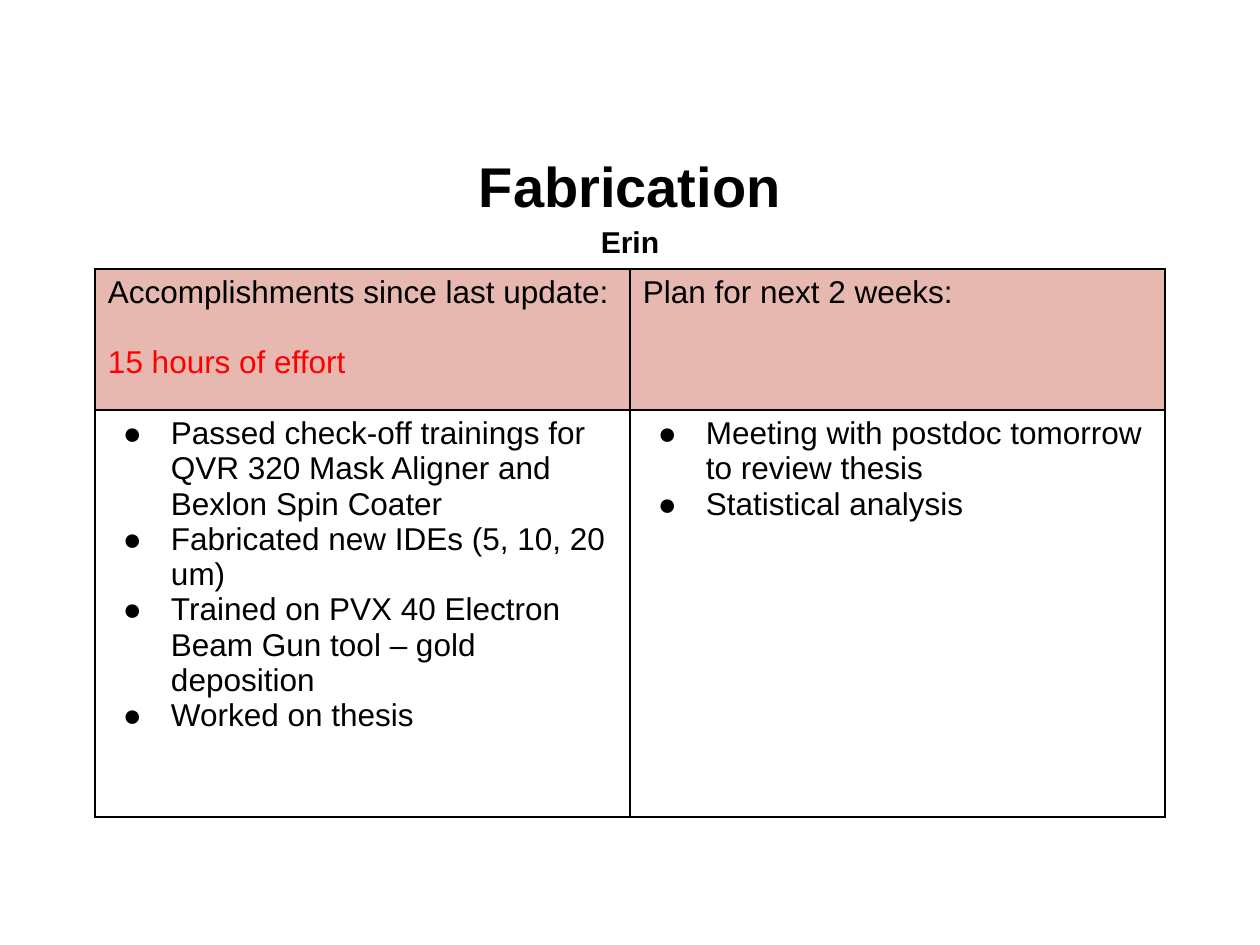
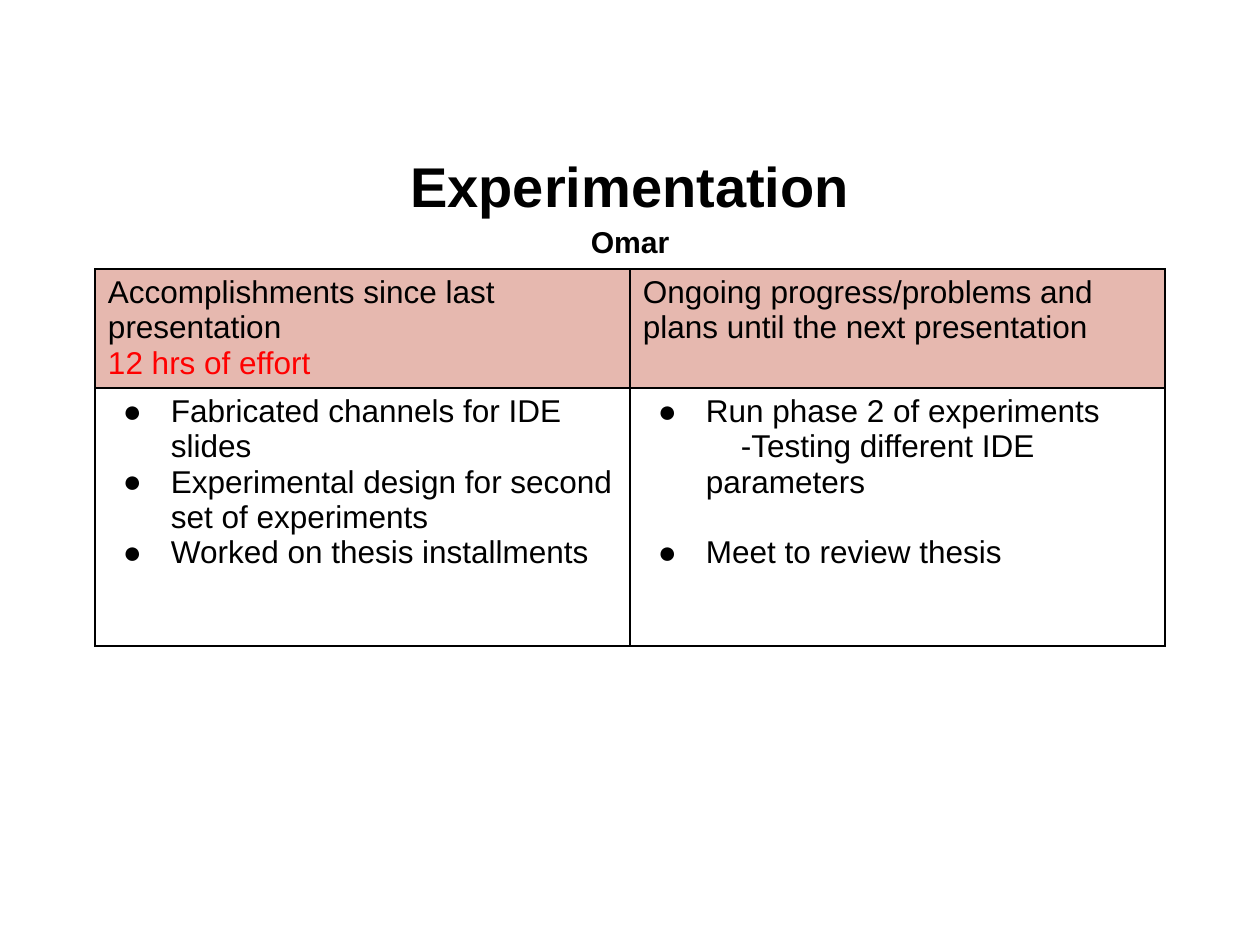
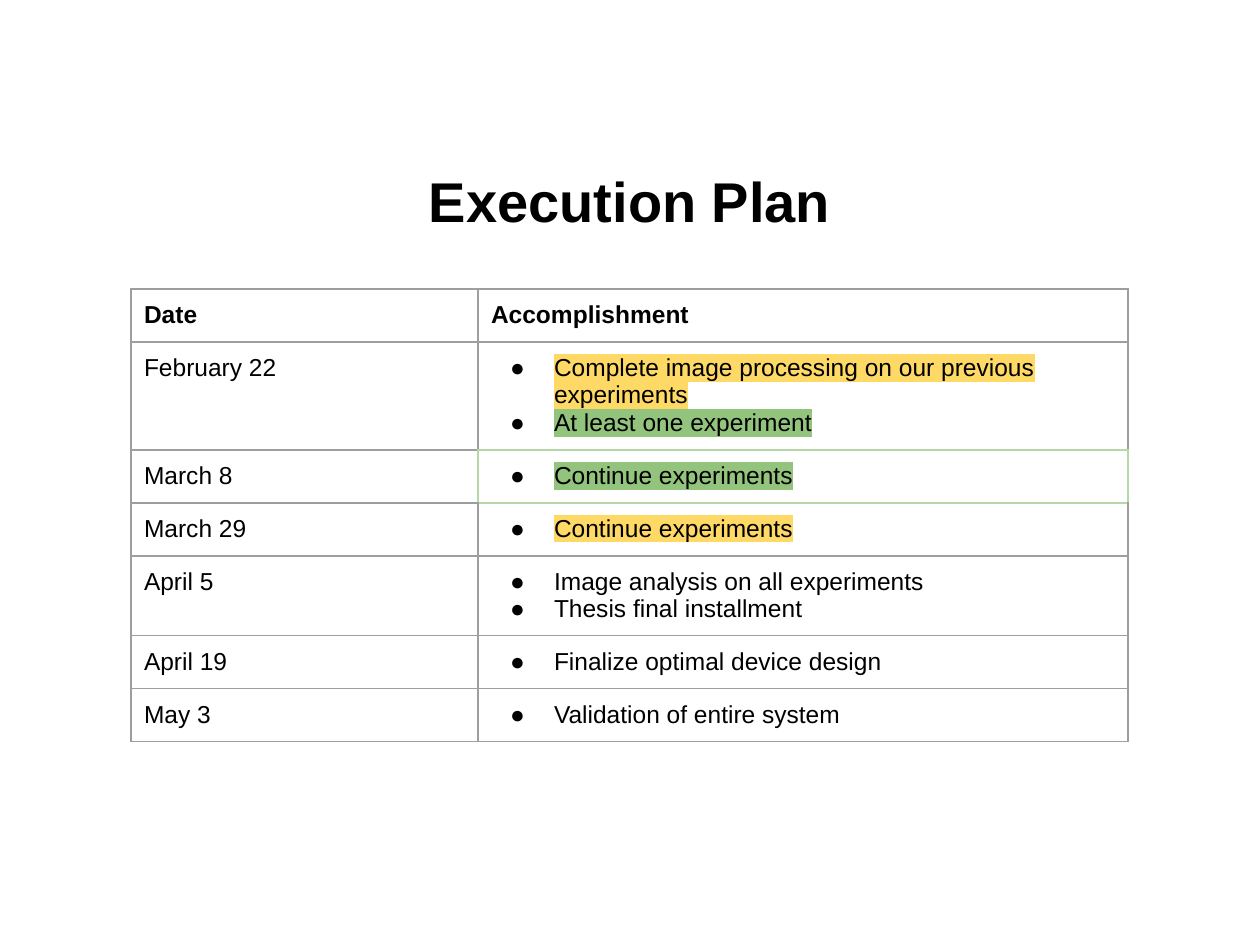
from dataclasses import dataclass
from typing import Optional

from lxml import etree
from pptx import Presentation
from pptx import util as u
from pptx.dml.color import RGBColor
from pptx.enum import text
from pptx.oxml.ns import qn

PX_PER_INCH = 126
FONT = "Arial"
BLACK = RGBColor(0x00, 0x00, 0x00)
RED = RGBColor(0xFF, 0x00, 0x00)
ROSE = RGBColor(0xE6, 0xB8, 0xAF)
GREY = RGBColor(0x9E, 0x9E, 0x9E)
PALE_GREEN = RGBColor(0xB6, 0xD7, 0xA8)
GREEN = RGBColor(0x93, 0xC4, 0x7D)
YELLOW = RGBColor(0xFF, 0xD9, 0x66)

TITLE_BOX = (63, 145, 1134, 111)
MARGIN_X = 13
LIST_INDENT = 63


@dataclass
class Line:
    """One paragraph of a table cell."""
    words: str
    bullet: bool = False
    colour: RGBColor = BLACK
    highlight: Optional[RGBColor] = None
    bold: bool = False
    gap: int = 0
    first_indent: int = 0


@dataclass
class TableStyle:
    """Text size, spacing and borders of a table."""
    size: int
    margin_y: int
    hang: int
    border: RGBColor
    border_pt: float


UPDATE_STYLE = TableStyle(size=18, margin_y=6, hang=48, border=BLACK, border_pt=1)
PLAN_STYLE = TableStyle(size=14, margin_y=12, hang=44, border=GREY, border_pt=0.75)


def px(length):
    """Turn pixels into EMU."""
    return u.Emu(round(length * u.Inches(1) / PX_PER_INCH))


def bullets(*items, highlight=None):
    """Make a bulleted line of each item."""
    return [Line(item, bullet=True, highlight=highlight) for item in items]


def add_colour(parent, tag, colour):
    """Add an element holding one RGB colour."""
    holder = etree.SubElement(parent, qn(tag))
    etree.SubElement(holder, qn("a:srgbClr"), val=str(colour))
    return holder


def format_run(run, size, colour=BLACK, bold=False):
    """Set the font of a run."""
    run.font.name = FONT
    run.font.size = u.Pt(size)
    run.font.bold = bold
    run.font.color.rgb = colour


def highlight_run(run, colour):
    """Mark a coloured run with a background colour."""
    props = run.font._element
    marker = add_colour(props, "a:highlight", colour)
    props.find(qn("a:solidFill")).addnext(marker)


def indent_paragraph(paragraph, first):
    """Indent a paragraph and offset its first line."""
    props = paragraph._p.get_or_add_pPr()
    props.set("marL", str(px(LIST_INDENT)))
    props.set("indent", str(px(first)))
    return props


def bullet_paragraph(paragraph, hang):
    """Give a paragraph a round bullet."""
    props = indent_paragraph(paragraph, -hang)
    add_colour(props, "a:buClr", BLACK)
    etree.SubElement(props, qn("a:buFont"), typeface=FONT)
    etree.SubElement(props, qn("a:buChar"), char="●")


def border_cell(cell, colour, width):
    """Draw the four borders of a cell."""
    props = cell._tc.get_or_add_tcPr()
    for side in "LRTB":
        edge = etree.SubElement(props, qn(f"a:ln{side}"), w=str(u.Pt(width)))
        add_colour(edge, "a:solidFill", colour)


def recolour_edges(cell, sides, colour):
    """Change the colour of some borders of a cell."""
    for side in sides:
        edge = cell._tc.tcPr.find(qn(f"a:ln{side}"))
        edge.find(f".//{qn('a:srgbClr')}").set("val", str(colour))


def fill_cell(cell, lines, style, background=None):
    """Write the lines of a cell and set its borders and fill."""
    cell.margin_left = cell.margin_right = px(MARGIN_X)
    cell.margin_top = cell.margin_bottom = px(style.margin_y)
    border_cell(cell, style.border, style.border_pt)
    if background is None:
        cell.fill.background()
    else:
        cell.fill.solid()
        cell.fill.fore_color.rgb = background
    cell.text_frame.text = "\n".join(line.words for line in lines)
    for line, paragraph in zip(lines, cell.text_frame.paragraphs):
        run = paragraph.runs[0]
        format_run(run, style.size, line.colour, line.bold)
        if line.highlight is not None:
            highlight_run(run, line.highlight)
        if line.gap:
            paragraph.space_before = u.Pt(line.gap)
        if line.bullet:
            bullet_paragraph(paragraph, style.hang)
        elif line.first_indent:
            indent_paragraph(paragraph, line.first_indent)


def add_grid(slide, corner, widths, heights, rows, style, header_fill=None):
    """Add a table from rows of cells, each a list of lines."""
    frame = slide.shapes.add_table(len(heights), len(widths), *map(px, corner),
                                   px(sum(widths)), px(sum(heights)))
    grid = frame.table
    grid.first_row = grid.horz_banding = False
    for column, width in zip(grid.columns, widths):
        column.width = px(width)
    for r, (height, row) in enumerate(zip(heights, rows)):
        grid.rows[r].height = px(height)
        for c, lines in enumerate(row):
            fill_cell(grid.cell(r, c), lines, style, None if r else header_fill)
    return grid


def add_titled_slide(prs, heading, presenter=None):
    """Add a slide with a heading and, below it, a presenter."""
    slide = prs.slides.add_slide(prs.slide_layouts[5])
    title = slide.shapes.title
    title.left, title.top, title.width, title.height = map(px, TITLE_BOX)
    frame = title.text_frame
    frame.text = f"{heading}\n{presenter}" if presenter else heading
    frame.auto_size = text.MSO_AUTO_SIZE.NONE
    frame.vertical_anchor = text.MSO_ANCHOR.MIDDLE
    for paragraph, size in zip(frame.paragraphs, (32, 17.2)):
        paragraph.alignment = text.PP_ALIGN.CENTER
        if presenter:
            paragraph.line_spacing = 1.15
        format_run(paragraph.runs[0], size, bold=True)
    return slide


def add_update_slide(prs, heading, presenter, heights, rows):
    """Add a progress update with work done and work planned."""
    slide = add_titled_slide(prs, heading, presenter)
    add_grid(slide, (95, 269), (535, 535), heights, rows, UPDATE_STYLE, ROSE)


def add_plan_slide(prs):
    """Add the dated execution plan."""
    slide = add_titled_slide(prs, "Execution Plan")
    schedule = [
        ("February 22",
         bullets("Complete image processing on our previous experiments", highlight=YELLOW)
         + bullets("At least one experiment", highlight=GREEN)),
        ("March 8", bullets("Continue experiments", highlight=GREEN)),
        ("March 29", bullets("Continue experiments", highlight=YELLOW)),
        ("April 5", bullets("Image analysis on all experiments",
                            "Thesis final installment")),
        ("April 19", bullets("Finalize optimal device design")),
        ("May 3", bullets("Validation of entire system")),
    ]
    rows = [[[Line("Date", bold=True)], [Line("Accomplishment", bold=True)]]]
    rows += [[[Line(date)], goals] for date, goals in schedule]
    grid = add_grid(slide, (131, 289), (347, 650), (53, 108, 53, 53, 80, 53, 53),
                    rows, PLAN_STYLE)
    for row, column, sides in ((2, 1, "LRTB"), (1, 1, "B"), (2, 0, "R"), (3, 1, "T")):
        recolour_edges(grid.cell(row, column), sides, PALE_GREEN)


def main():
    """Build the three slides and save them."""
    prs = Presentation()
    prs.slide_width, prs.slide_height = px(1260), px(945)
    add_update_slide(prs, "Fabrication", "Erin", (141, 407), [
        [[Line("Accomplishments since last update:"),
          Line("15 hours of effort", colour=RED, gap=20)],
         [Line("Plan for next 2 weeks:")]],
        [bullets("Passed check-off trainings for QVR 320 Mask Aligner and Bexlon Spin Coater",
                 "Fabricated new IDEs (5, 10, 20 um)",
                 "Trained on PVX 40 Electron Beam Gun tool – gold deposition",
                 "Worked on thesis"),
         bullets("Meeting with postdoc tomorrow to review thesis",
                 "Statistical analysis")],
    ])
    add_update_slide(prs, "Experimentation", "Omar", (119, 258), [
        [[Line("Accomplishments since last presentation"),
          Line("12 hrs of effort", colour=RED)],
         [Line("Ongoing progress/problems and plans until the next presentation")]],
        [bullets("Fabricated channels for IDE slides",
                 "Experimental design for second set of experiments",
                 "Worked on thesis installments"),
         [Line("Run phase 2 of experiments", bullet=True),
          Line("-Testing different IDE parameters", first_indent=35),
          Line("Meet to review thesis", bullet=True, gap=20)]],
    ])
    add_plan_slide(prs)
    prs.save("out.pptx")


if __name__ == "__main__":
    main()
